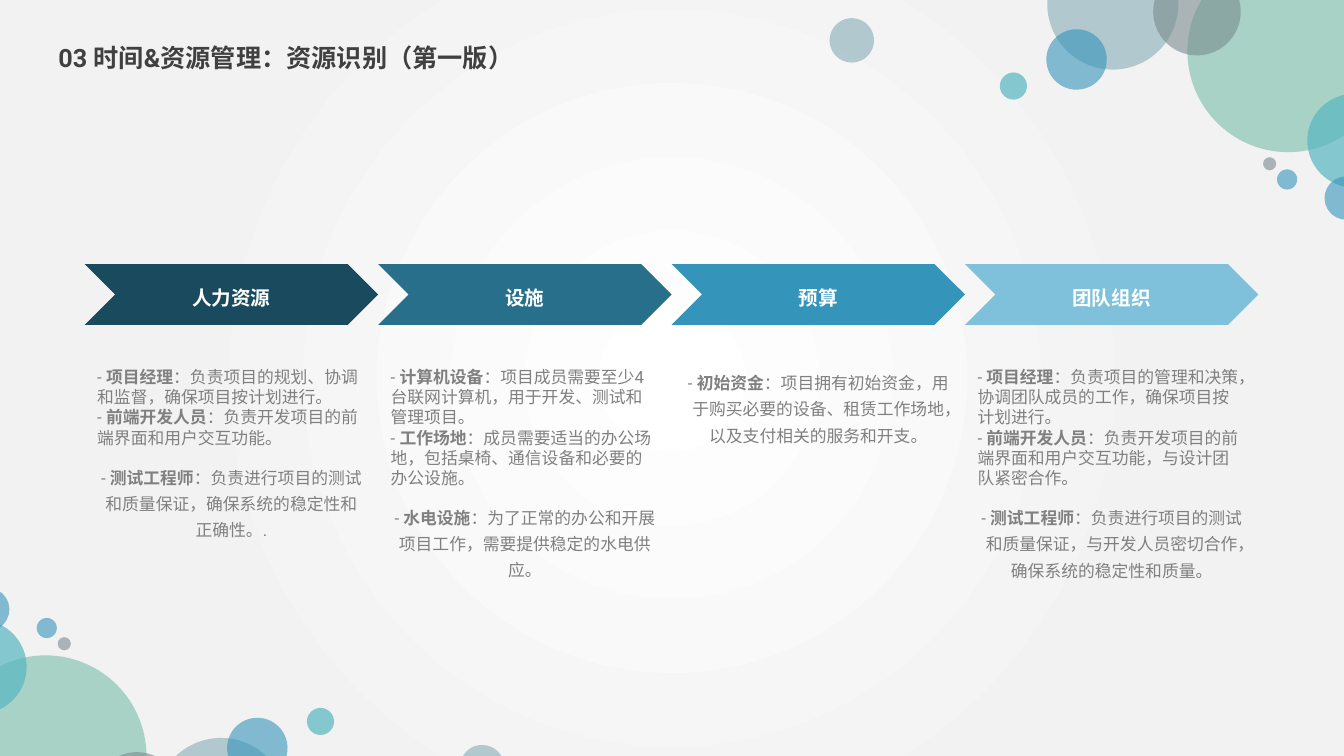
from pptx import Presentation
from pptx.dml.color import RGBColor
from pptx.enum.shapes import MSO_SHAPE as Shape
from pptx.enum.text import MSO_ANCHOR as Anchor, PP_ALIGN as Align
from pptx.oxml import parse_xml
from pptx.oxml.ns import nsdecls, qn
from pptx.util import Pt
from lxml.etree import SubElement

WHITE = RGBColor(0xFF, 0xFF, 0xFF)
DARK = RGBColor(0x40, 0x40, 0x40)
GRAY = RGBColor(0x80, 0x80, 0x80)
MIST = RGBColor(0x84, 0xAC, 0xB6)
GREEN = RGBColor(0x75, 0xBD, 0xA7)
SLATE = RGBColor(0x7A, 0x8C, 0x8E)
BLUE = RGBColor(0x34, 0x94, 0xBA)
TEAL = RGBColor(0x58, 0xB6, 0xC0)
NAVY = RGBColor(0x1A, 0x4A, 0x5D)
OCEAN = RGBColor(0x27, 0x6F, 0x8B)
SKY = RGBColor(0x7F, 0xC1, 0xDB)

BUBBLES = [
    (748.1, -43.9, 93.6, MIST, 60),
    (848.2, -35.3, 144, GREEN, 60),
    (823.7, -23, 62.6, SLATE, 60),
    (747.4, 20.9, 43.2, BLUE, 60),
    (933.8, 67, 67, TEAL, 70),
    (714.2, 51.8, 19.4, TEAL, 70),
    (946.1, 126, 31, BLUE, 60),
    (912.2, 121, 14.4, BLUE, 60),
    (902.2, 112.3, 9.4, SLATE, 60),
    (592.6, 13, 31.7, MIST, 60),
]
MIRROR_X, MIRROR_Y = 952.8, 576.8
COLUMN_LEFT, COLUMN_STEP = 60.5, 209.6

COLUMNS = [
    ("人力资源", NAVY, 154, [
        ("项目经理", "：负责项目的规划、协调和监督，确保项目按计划进行。"),
        ("前端开发人员", "：负责开发项目的前端界面和用户交互功能。"),
        ("测试工程师", "：负责进行项目的测试和质量保证，确保系统的稳定性和正确性。."),
    ]),
    ("设施", OCEAN, 199.4, [
        ("计算机设备", "：项目成员需要至少4台联网计算机，用于开发、测试和管理项目。"),
        ("工作场地", "：成员需要适当的办公场地，包括桌椅、通信设备和必要的办公设施。"),
        ("水电设施", "：为了正常的办公和开展项目工作，需要提供稳定的水电供应。"),
    ]),
    ("预算", BLUE, 159.8, [
        ("初始资金", "：项目拥有初始资金，用于购买必要的设备、租赁工作场地，以及支付相关的服务和开支。"),
    ]),
    ("团队组织", SKY, 212.4, [
        ("项目经理", "：负责项目的管理和决策，协调团队成员的工作，确保项目按计划进行。"),
        ("前端开发人员", "：负责开发项目的前端界面和用户交互功能，与设计团队紧密合作。"),
        ("测试工程师", "：负责进行项目的测试和质量保证，与开发人员密切合作，确保系统的稳定性和质量。"),
    ]),
]


class SlideBuilder:
    """Draws the elements of one slide in a shared style."""

    font_name = "Roboto"
    line_spacing = 1.3

    def __init__(self, page):
        self.page = page

    def background(self):
        self.page.background.fill.gradient()
        old = self.page.element.find(".//" + qn("a:gradFill"))
        old.getparent().replace(old, parse_xml(
            f'<a:gradFill {nsdecls("a")} rotWithShape="1"><a:gsLst>'
            '<a:gs pos="0"><a:srgbClr val="FFFFFF"/></a:gs>'
            '<a:gs pos="67000"><a:srgbClr val="F2F2F2"/></a:gs>'
            '<a:gs pos="100000"><a:srgbClr val="F2F2F2"/></a:gs></a:gsLst>'
            '<a:path path="circle"><a:fillToRect l="50000" t="50000" r="50000" b="50000"/></a:path>'
            '</a:gradFill>'))

    def style(self, para, size, color, bold=None):
        para.font.name = self.font_name
        para.font.size = Pt(size)
        para.font.color.rgb = color
        para.font.bold = bold

    def shape(self, kind, left, top, width, height, color):
        shape = self.page.shapes.add_shape(kind, Pt(left), Pt(top), Pt(width), Pt(height))
        shape.shadow.inherit = False
        shape.fill.solid()
        shape.fill.fore_color.rgb = color
        shape.line.fill.background()
        return shape

    def bubble(self, left, top, size, color, opacity, rotation):
        bubble = self.shape(Shape.OVAL, left, top, size, size, color)
        bubble.rotation = rotation
        tint = bubble.element.spPr.find(qn("a:solidFill"))[0]
        SubElement(tint, qn("a:alpha"), val=str(opacity * 1000))

    def chevron(self, left, text, color):
        chevron = self.shape(Shape.CHEVRON, left, 188.6, COLUMN_STEP, 43.5, color)
        frame = chevron.text_frame
        frame.vertical_anchor = Anchor.MIDDLE
        para = frame.paragraphs[0]
        para.text = text
        para.alignment = Align.CENTER
        para.line_spacing = self.line_spacing
        self.style(para, 14, WHITE, True)

    def text_box(self, left, top, width, height):
        box = self.page.shapes.add_textbox(Pt(left), Pt(top), Pt(width), Pt(height))
        box.text_frame.word_wrap = True
        return box.text_frame

    def title(self, text):
        para = self.text_box(34.6, 20.2, 478, 31).paragraphs[0]
        para.text = text
        para.line_spacing = self.line_spacing
        self.style(para, 18, DARK, True)

    def details(self, left, height, items):
        frame = self.text_box(left, 258.5, 205.9, height)
        for index, (role, duty) in enumerate(items):
            para = frame.add_paragraph() if index else frame.paragraphs[0]
            self.style(para, 12, GRAY)
            for text, bold in (("- ", False), (role, True), (duty, False)):
                span = para.add_run()
                span.text = text
                span.font.bold = bold
        para.alignment = Align.CENTER
        para.line_spacing = self.line_spacing
        if len(items) > 1:
            para.space_before = Pt(10)


def main():
    deck = Presentation()
    deck.slide_width, deck.slide_height = Pt(960), Pt(540)
    builder = SlideBuilder(deck.slides.add_slide(deck.slide_layouts[6]))
    builder.background()
    for left, top, size, color, opacity in BUBBLES:
        builder.bubble(left, top, size, color, opacity, 357.7)
    for left, top, size, color, opacity in BUBBLES:
        builder.bubble(MIRROR_X - left - size, MIRROR_Y - top - size, size, color, opacity, 177.7)
    for index, (heading, color, height, items) in enumerate(COLUMNS):
        left = COLUMN_LEFT + index * COLUMN_STEP
        builder.chevron(left, heading, color)
        builder.details(left + 1.9, height, items)
    builder.title("03 时间&资源管理：资源识别（第一版）")
    deck.save("out.pptx")


if __name__ == "__main__":
    main()
